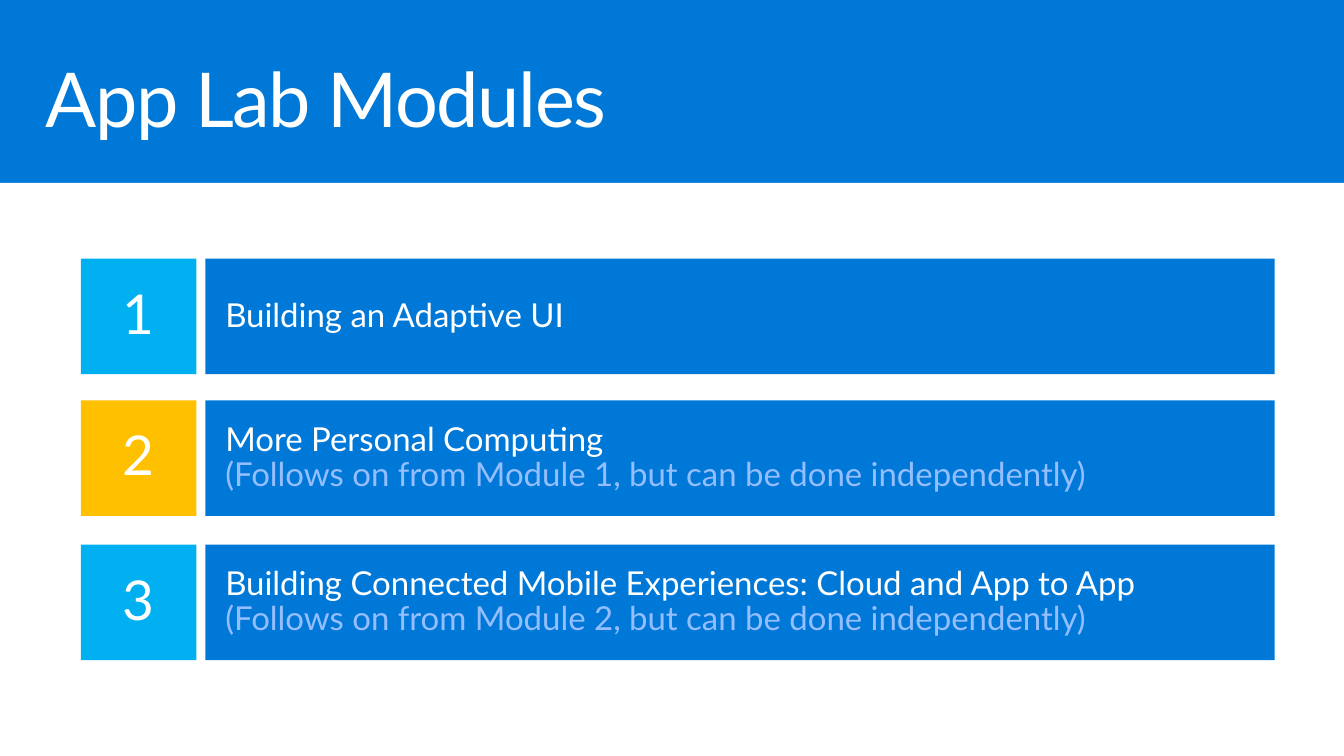
from dataclasses import dataclass

import pptx
import pptx.dml.color
import pptx.enum.shapes
import pptx.enum.text
import pptx.shapes.autoshape
import pptx.slide
import pptx.util

BLUE = pptx.dml.color.RGBColor(0x00, 0x78, 0xD7)
CYAN = pptx.dml.color.RGBColor(0x00, 0xB0, 0xF0)
AMBER = pptx.dml.color.RGBColor(0xFF, 0xC0, 0x00)
PALE_BLUE = pptx.dml.color.RGBColor(0x94, 0xBE, 0xFF)
WHITE = pptx.dml.color.RGBColor(0xFF, 0xFF, 0xFF)

FONT = "Lato"
SLIDE_WIDTH = pptx.util.Cm(34.54)
SLIDE_HEIGHT = pptx.util.Cm(19.43)
HEADER_HEIGHT = pptx.util.Cm(4.7)
NUMBER_LEFT = pptx.util.Cm(2.08)
BAR_LEFT = pptx.util.Cm(5.28)
BAR_WIDTH = pptx.util.Cm(27.48)
ROW_HEIGHT = pptx.util.Cm(2.97)


@dataclass(frozen=True)
class Module:
    top: float
    number_fill: pptx.dml.color.RGBColor
    topic: str
    prerequisite: str = ""


MODULES = [
    Module(6.65, CYAN, "Building an Adaptive UI"),
    Module(10.29, AMBER, "More Personal Computing",
           "(Follows on from Module 1, but can be done independently)"),
    Module(14.0, CYAN, "Building Connected Mobile Experiences: Cloud and App to App",
           "(Follows on from Module 2, but can be done independently)"),
]


def add_rectangle(slide: pptx.slide.Slide, left: int, top: int, width: int, height: int,
                  fill: pptx.dml.color.RGBColor) -> pptx.shapes.autoshape.Shape:
    rectangle = slide.shapes.add_shape(
        pptx.enum.shapes.MSO_SHAPE.RECTANGLE, left, top, width, height)
    rectangle.shadow.inherit = False
    rectangle.fill.solid()
    rectangle.fill.fore_color.rgb = fill
    rectangle.line.fill.background()
    return rectangle


def write(shape: pptx.shapes.autoshape.Shape,
          *lines: tuple[str, pptx.dml.color.RGBColor], size: float,
          align: pptx.enum.text.PP_ALIGN = pptx.enum.text.PP_ALIGN.LEFT,
          anchor: pptx.enum.text.MSO_ANCHOR = pptx.enum.text.MSO_ANCHOR.MIDDLE,
          inset_x: float = 0.51, inset_y: float = 0.41, tracking: int = 0) -> None:
    """Write one paragraph per line; tracking is in hundredths of a point."""
    frame = shape.text_frame
    frame.word_wrap = True
    frame.vertical_anchor = anchor
    frame.margin_left = frame.margin_right = pptx.util.Cm(inset_x)
    frame.margin_top = frame.margin_bottom = pptx.util.Cm(inset_y)
    for index, (text, color) in enumerate(lines):
        paragraph = frame.add_paragraph() if index else frame.paragraphs[0]
        paragraph.alignment = align
        paragraph.line_spacing = 0.9
        run = paragraph.add_run()
        run.text = text
        run.font.name = FONT
        run.font.size = pptx.util.Pt(size)
        run.font.color.rgb = color
        if tracking:
            run.font._element.set("spc", str(tracking))


def add_module(slide: pptx.slide.Slide, number: int, module: Module) -> None:
    top = pptx.util.Cm(module.top)
    bar = add_rectangle(slide, BAR_LEFT, top, BAR_WIDTH, ROW_HEIGHT, BLUE)
    lines = [(module.topic, WHITE)]
    if module.prerequisite:
        lines.append((module.prerequisite, PALE_BLUE))
    write(bar, *lines, size=24)
    tile = add_rectangle(slide, NUMBER_LEFT, top, ROW_HEIGHT, ROW_HEIGHT, module.number_fill)
    write(tile, (str(number), WHITE), size=40, align=pptx.enum.text.PP_ALIGN.CENTER)


def main() -> None:
    presentation = pptx.Presentation()
    presentation.slide_width = SLIDE_WIDTH
    presentation.slide_height = SLIDE_HEIGHT
    slide = presentation.slides.add_slide(presentation.slide_layouts[6])
    slide.background.fill.solid()
    slide.background.fill.fore_color.rgb = BLUE

    add_rectangle(slide, 0, HEADER_HEIGHT, SLIDE_WIDTH, SLIDE_HEIGHT - HEADER_HEIGHT, WHITE)
    title = slide.shapes.add_textbox(
        pptx.util.Cm(0.76), pptx.util.Cm(1.35), pptx.util.Cm(33.02), pptx.util.Cm(2.54))
    write(title, ("App Lab Modules", WHITE), size=55.1,
          anchor=pptx.enum.text.MSO_ANCHOR.TOP,
          inset_x=0.41, inset_y=0.25, tracking=-100)
    for number, module in enumerate(MODULES, start=1):
        add_module(slide, number, module)

    presentation.save("out.pptx")


if __name__ == "__main__":
    main()
